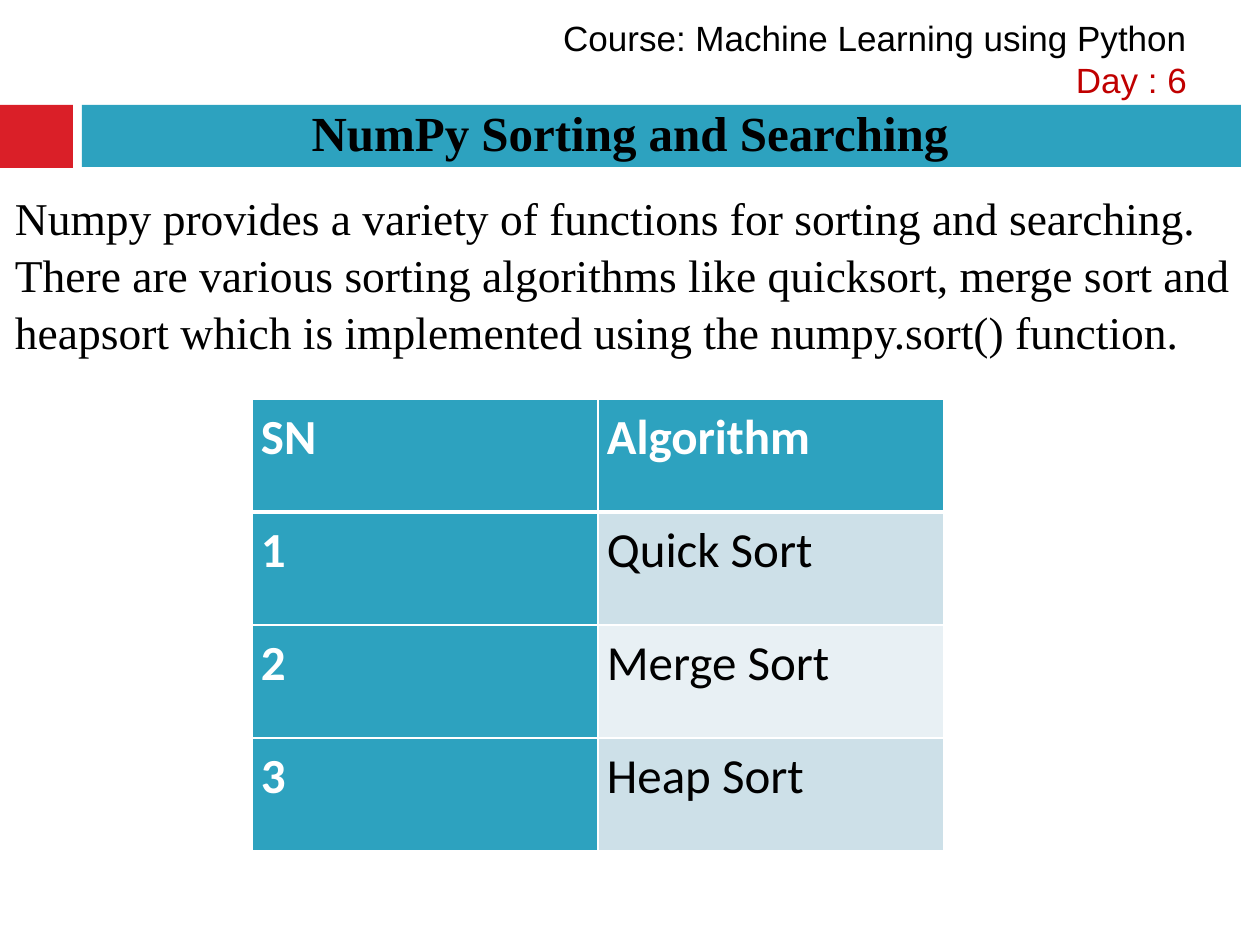
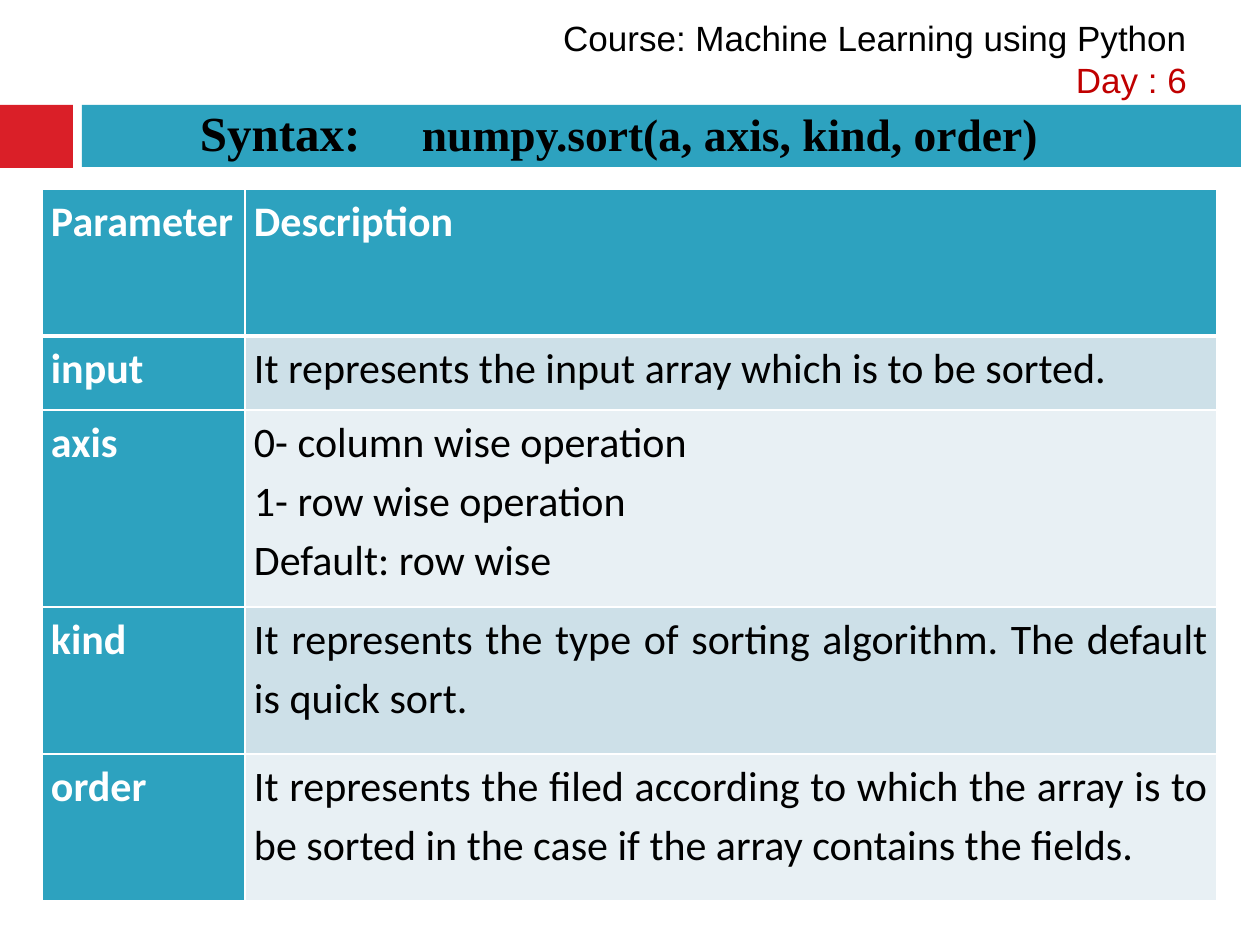
import pptx
import pptx.dml.color
import pptx.enum.shapes
import pptx.enum.text
import pptx.oxml
import pptx.oxml.ns
import pptx.util

RGB = pptx.dml.color.RGBColor
ALIGN = pptx.enum.text.PP_ALIGN

BLACK = RGB(0x00, 0x00, 0x00)
WHITE = RGB(0xFF, 0xFF, 0xFF)
RED = RGB(0xDA, 0x1F, 0x28)
DARK_RED = RGB(0xC0, 0x00, 0x00)
TEAL = RGB(0x2D, 0xA2, 0xBF)
BAND_FILLS = (RGB(0xCD, 0xE0, 0xE8), RGB(0xE8, 0xF0, 0xF4))

SERIF = "Times New Roman"
EMU_PER_PX = 914400 / 126

# Boxes are left, top, width, height in px.
PAGE_SIZE = (1260, 945)
BANDS = [((0, 105, 73, 63), RED), ((82, 105, 1159, 62), TEAL)]
HEADER_BOX = (525, 10, 675, 97)
TITLE_BOX = (0, 95, 1260, 80)
BODY_BOX = (0, 180, 1260, 180)
SYNTAX_LEFT, SYNTAX_TAB = 200, 222

COURSE, DAY = "Course: Machine Learning using Python", "Day : 6"

SORTING_TITLE = "NumPy Sorting and Searching"
SORTING_TEXT = (
    "Numpy provides a variety of functions for sorting and searching. "
    "There are various sorting algorithms like quicksort, merge sort and "
    "heapsort which is implemented using the numpy.sort() function."
)
ALGORITHMS = [
    ("SN", "Algorithm"),
    ("1", "Quick Sort"),
    ("2", "Merge Sort"),
    ("3", "Heap Sort"),
]

SYNTAX_LABEL, SYNTAX_CALL = "Syntax:", "numpy.sort(a, axis, kind, order)"
PARAMETERS = [
    ("Parameter", "Description"),
    ("input", "It represents the input array which is to be sorted."),
    ("axis", "0- column wise operation\n1- row wise operation\nDefault: row wise"),
    ("kind", "It represents the type of sorting algorithm. "
             "The default is quick sort."),
    ("order", "It represents the filed according to which the array is to be "
              "sorted in the case if the array contains the fields."),
]


def px(length):
    return pptx.util.Emu(round(length * EMU_PER_PX))


def place(box):
    return [px(length) for length in box]


def write(para, text, size=26, font=SERIF, color=BLACK, bold=False,
          align=ALIGN.LEFT, spacing=None):
    """Append a formatted span to a paragraph."""
    span = para.add_run()
    span.text = text
    span.font.size = pptx.util.Pt(size)
    span.font.name = font
    span.font.color.rgb = color
    span.font.bold = bold
    para.alignment = align
    if spacing:
        para.line_spacing = spacing


def add_frame(page, box, side=15, top=8):
    """Add a wrapping text box and return its text frame."""
    frame = page.shapes.add_textbox(*place(box)).text_frame
    frame.word_wrap = True
    frame.margin_left = frame.margin_right = px(side)
    frame.margin_top = frame.margin_bottom = px(top)
    return frame


def add_page(deck):
    """Add a page with the course header and the title bands."""
    page = deck.slides.add_slide(deck.slide_layouts[6])
    for box, color in BANDS:
        band = page.shapes.add_shape(
            pptx.enum.shapes.MSO_SHAPE.RECTANGLE, *place(box))
        band.shadow.inherit = False
        band.fill.solid()
        band.fill.fore_color.rgb = color
        band.line.fill.background()
    frame = add_frame(page, HEADER_BOX, side=13, top=6)
    header = {"size": 20, "font": "Arial", "align": ALIGN.RIGHT}
    write(frame.paragraphs[0], COURSE, **header)
    write(frame.add_paragraph(), DAY, color=DARK_RED, **header)
    return page


def add_tab_stop(para, position):
    stops = pptx.oxml.parse_xml(
        f'<a:tabLst {pptx.oxml.ns.nsdecls("a")}>'
        f'<a:tab pos="{px(position)}" algn="l"/></a:tabLst>')
    para._p.get_or_add_pPr().append(stops)


def set_borders(cell, **widths):
    """Draw white cell borders; widths in points by side L, R, T, B."""
    properties = cell._tc.get_or_add_tcPr()
    for index, side in enumerate("LRTB"):
        width = pptx.util.Pt(widths.get(side, 1))
        properties.insert(index, pptx.oxml.parse_xml(
            f'<a:ln{side} {pptx.oxml.ns.nsdecls("a")} w="{width}">'
            f'<a:solidFill><a:srgbClr val="{WHITE}"/></a:solidFill>'
            f'</a:ln{side}>'))


def add_grid(page, rows, left, top, widths, heights, size):
    """Add a table with a teal header row and a teal first column."""
    box = (left, top, sum(widths), sum(heights))
    table = page.shapes.add_table(len(rows), len(widths), *place(box)).table
    table.first_row = table.horz_banding = False
    for column, width in zip(table.columns, widths):
        column.width = px(width)
    for row, height in zip(table.rows, heights):
        row.height = px(height)
    for r, texts in enumerate(rows):
        for c, text in enumerate(texts):
            cell = table.cell(r, c)
            heading = r == 0 or c == 0
            cell.fill.solid()
            cell.fill.fore_color.rgb = TEAL if heading else BAND_FILLS[(r - 1) % 2]
            cell.margin_left = cell.margin_right = px(9)
            cell.margin_top = cell.margin_bottom = 0
            set_borders(cell, T=3 if r == 1 else 1, B=3 if r == 0 else 1)
            frame = cell.text_frame
            for number, line in enumerate(text.split("\n")):
                para = frame.add_paragraph() if number else frame.paragraphs[0]
                write(para, line, size=size, font="Calibri", bold=heading,
                      color=WHITE if heading else BLACK,
                      align=ALIGN.JUSTIFY, spacing=1.15)


def add_sorting_page(deck):
    page = add_page(deck)
    title = add_frame(page, TITLE_BOX).paragraphs[0]
    write(title, SORTING_TITLE, size=28, bold=True, align=ALIGN.CENTER)
    body = add_frame(page, BODY_BOX).paragraphs[0]
    write(body, SORTING_TEXT, spacing=1.04)
    add_grid(page, ALGORITHMS, 252, 399, [346, 346], [113] * 4, size=28)


def add_syntax_page(deck):
    page = add_page(deck)
    frame = add_frame(page, TITLE_BOX)
    frame.margin_left = px(SYNTAX_LEFT)
    title = frame.paragraphs[0]
    write(title, SYNTAX_LABEL + "\t", size=28, bold=True)
    write(title, SYNTAX_CALL, bold=True)
    add_tab_stop(title, SYNTAX_TAB)
    add_grid(page, PARAMETERS, 42, 189, [203, 972], [147, 74, 197, 147, 147],
             size=24)


def main():
    deck = pptx.Presentation()
    deck.slide_width, deck.slide_height = place(PAGE_SIZE)
    add_sorting_page(deck)
    add_syntax_page(deck)
    deck.save("out.pptx")


if __name__ == "__main__":
    main()
